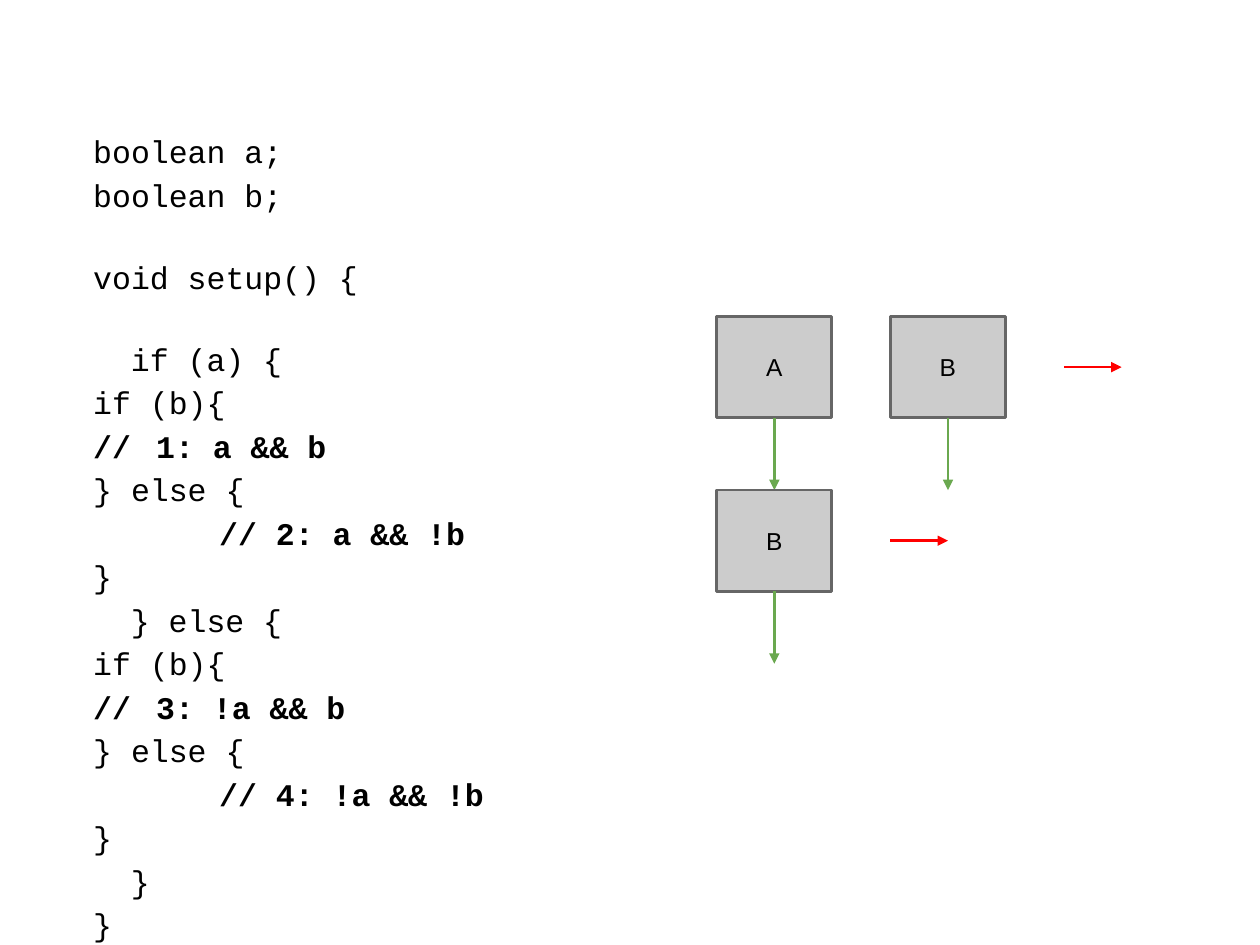
import pptx
import pptx.util
import pptx.dml.color
import pptx.enum.shapes
import pptx.enum.text
import pptx.oxml.ns
import lxml.etree

Cm, Pt = pptx.util.Cm, pptx.util.Pt
COLORS = {"text": "000000", "block": "CCCCCC", "border": "666666",
          "right": "FF0000", "down": "6AA84F"}
INSET = Cm(0.25)
LINE_PITCH, SECTION_GAP = Pt(24.85), Pt(22)
STEP, TAB = Cm(0.76), Cm(2.54)

# Each line: text, bold, left indent, gap above
CODE = [
    ("boolean a;", False, 0, 0),
    ("boolean b;", False, 0, 0),
    ("void setup() {", False, 0, SECTION_GAP),
    ("if (a) {", False, STEP, SECTION_GAP),
    ("if (b){", False, 0, 0),
    ("//\t1: a && b", True, 0, 0),
    ("} else {", False, 0, 0),
    ("// 2: a && !b", True, TAB, 0),
    ("}", False, 0, 0),
    ("} else {", False, STEP, 0),
    ("if (b){", False, 0, 0),
    ("//\t3: !a && b", True, 0, 0),
    ("} else {", False, 0, 0),
    ("// 4: !a && !b", True, TAB, 0),
    ("}", False, 0, 0),
    ("}", False, STEP, 0),
    ("}", False, 0, 0),
]

# Each block: label, column, row, whether its right arrow shows
BLOCKS = [("A", 0, 0, False), ("B", 1, 0, True), ("B", 0, 1, True)]


def color(name):
    """Return the named colour as an RGBColor."""
    return pptx.dml.color.RGBColor.from_string(COLORS[name])


def add_text(paragraph, text, font, size, bold=False):
    """Add one formatted run to a paragraph."""
    run = paragraph.add_run()
    run.text = text
    run.font.name, run.font.size, run.font.bold = font, Pt(size), bold
    run.font.color.rgb = color("text")


def set_insets(frame):
    """Give a text frame equal insets and wrapping."""
    frame.word_wrap = True
    frame.margin_left = frame.margin_right = INSET
    frame.margin_top = frame.margin_bottom = INSET


def add_code(slide, left, top, width, height):
    """Place the code listing in the given box."""
    frame = slide.shapes.add_textbox(left, top, width, height).text_frame
    set_insets(frame)
    for number, (text, bold, indent, gap) in enumerate(CODE):
        line = frame.add_paragraph() if number else frame.paragraphs[0]
        line.line_spacing, line.space_before = LINE_PITCH, gap
        if indent:
            line._p.get_or_add_pPr().set("marL", str(indent))
        add_text(line, text, "Courier New", 18, bold)


def add_arrow(slide, x, y, dx, dy, name):
    """Draw an arrow from a point by the given offset."""
    arrow = slide.shapes.add_connector(
        pptx.enum.shapes.MSO_CONNECTOR.STRAIGHT, x, y, x + dx, y + dy)
    arrow.line.color.rgb, arrow.line.width = color(name), Pt(1.5)
    qn = pptx.oxml.ns.qn
    lxml.etree.SubElement(arrow.line._get_or_add_ln(), qn("a:tailEnd"), type="triangle")
    lxml.etree.SubElement(arrow._element.spPr, qn("a:effectLst"))


def add_block(slide, label, left, top, width, height):
    """Place one labelled decision block."""
    block = slide.shapes.add_shape(
        pptx.enum.shapes.MSO_SHAPE.RECTANGLE, left, top, width, height)
    block.shadow.inherit = False
    block.fill.solid()
    block.fill.fore_color.rgb = color("block")
    block.line.color.rgb, block.line.width = color("border"), Pt(1.5)
    frame = block.text_frame
    set_insets(frame)
    frame.vertical_anchor = pptx.enum.text.MSO_ANCHOR.MIDDLE
    frame.paragraphs[0].alignment = pptx.enum.text.PP_ALIGN.CENTER
    add_text(frame.paragraphs[0], label, "Arial", 14)


def add_decisions(slide, left, top, pitch):
    """Place the decision blocks and their arrows on a square grid."""
    width, height = Cm(2.32), Cm(2.04)
    for label, column, row, shows_right in BLOCKS:
        x, y = left + column * pitch, top + row * pitch
        add_block(slide, label, x, y, width, height)
        if shows_right:
            add_arrow(slide, x + pitch, y + height // 2, Cm(1.16), 0, "right")
        add_arrow(slide, x + width // 2, y + height, 0, pitch - height, "down")


deck = pptx.Presentation()
deck.slide_width, deck.slide_height = Cm(25.4), Cm(19.05)
slide = deck.slides.add_slide(deck.slide_layouts[6])
add_code(slide, Cm(1.63), Cm(2.3), Cm(10.52), Cm(14.55))
add_decisions(slide, Cm(14.45), Cm(6.38), Cm(3.5))
deck.save("out.pptx")
